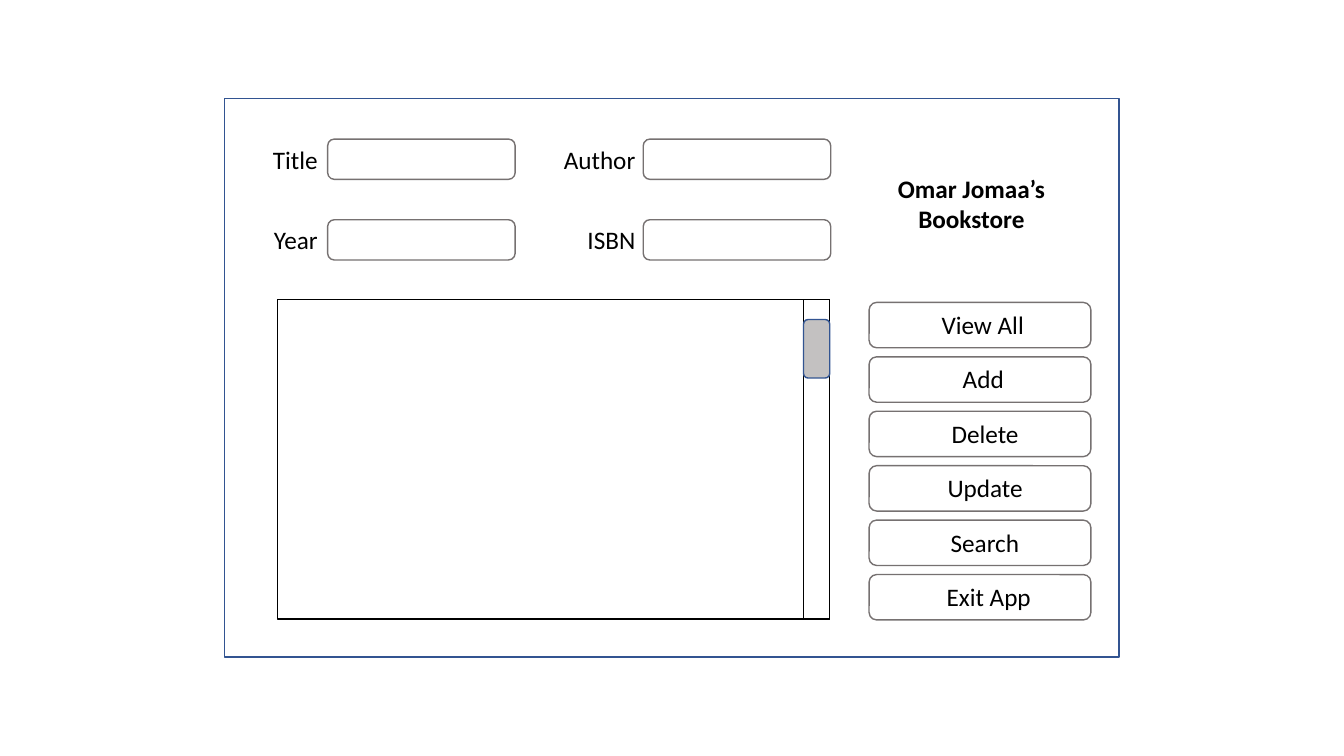
import pptx
import pptx.util
import pptx.dml.color
import pptx.enum.shapes
import pptx.enum.text
import lxml.etree
from pptx.util import Inches

RECT = pptx.enum.shapes.MSO_SHAPE.RECTANGLE
ROUNDED = pptx.enum.shapes.MSO_SHAPE.ROUNDED_RECTANGLE
ALIGN = pptx.enum.text.PP_ALIGN
BLUE, GRAY, BLACK = "325491", "767171", "000000"

prs = pptx.Presentation()
prs.slide_width, prs.slide_height = Inches(13.33), Inches(7.5)
slide = prs.slides.add_slide(prs.slide_layouts[6])


def add_outline(kind, left, top, width, height, line=GRAY):
    shape = slide.shapes.add_shape(
        kind, Inches(left), Inches(top), Inches(width), Inches(height))
    shape.shadow.inherit = False
    shape.fill.background()
    shape.line.color.rgb = pptx.dml.color.RGBColor.from_string(line)
    shape.line.width = pptx.util.Pt(1)
    return shape


def add_text(text, left, top, width, height=0.4, align=ALIGN.LEFT,
             bold=False, wrap=True, size=18, color=BLACK):
    box = slide.shapes.add_textbox(
        Inches(left), Inches(top), Inches(width), Inches(height))
    frame = box.text_frame
    frame.word_wrap = wrap
    frame.auto_size = pptx.enum.text.MSO_AUTO_SIZE.SHAPE_TO_FIT_TEXT
    paragraph = frame.paragraphs[0]
    paragraph.alignment = align
    run = paragraph.add_run()
    run.text = text
    run.font.name, run.font.size, run.font.bold = "Calibri", pptx.util.Pt(size), bold
    run.font.color.rgb = pptx.dml.color.RGBColor.from_string(color)


# App window
add_outline(RECT, 2.23, 0.98, 8.87, 5.54, BLUE)

# Entry fields: two rows of two
field_rows = [("Title", "Author"), ("Year", "ISBN")]
field_columns = [(2.51, 0.74, 3.25), (5.41, 0.99, 6.38)]
for row, labels in enumerate(field_rows):
    field_top = 1.38 + 0.8 * row
    for label, (label_left, label_width, field_left) in zip(labels, field_columns):
        add_text(label, label_left, field_top, label_width, align=ALIGN.RIGHT)
        add_outline(ROUNDED, field_left, field_top, 1.86, 0.4)

# Store name
add_text("Omar Jomaa’s Bookstore", 8.72, 1.67, 1.83, 0.71,
         align=ALIGN.CENTER, bold=True)

# Book list with scroll bar
add_outline(RECT, 2.75, 2.97, 5.48, 3.17, BLACK)
add_outline(RECT, 7.97, 2.97, 0.26, 3.17, BLACK)
scroll_thumb = add_outline(ROUNDED, 7.97, 3.17, 0.26, 0.58, BLUE)
scroll_thumb.fill.solid()
scroll_thumb.fill.fore_color.rgb = pptx.dml.color.RGBColor.from_string(GRAY)
thumb_color = scroll_thumb.fill._xPr.find(".//" + pptx.oxml.ns.qn("a:srgbClr"))
lxml.etree.SubElement(thumb_color, pptx.oxml.ns.qn("a:alpha"), val="43000")

# Action buttons: label, its left edge and width
actions = [("View All", 9.24, 1.03), ("Add", 9.45, 0.61), ("Delete", 9.34, 0.87),
           ("Update", 9.3, 0.96), ("Search", 9.33, 0.89), ("Exit App", 9.29, 1.05)]
for index, (action, action_left, action_width) in enumerate(actions):
    button_top = 3 + 0.54 * index
    add_outline(ROUNDED, 8.62, button_top, 2.2, 0.45)
    add_text(action, action_left, button_top + 0.02, action_width, wrap=False)

prs.save("out.pptx")
